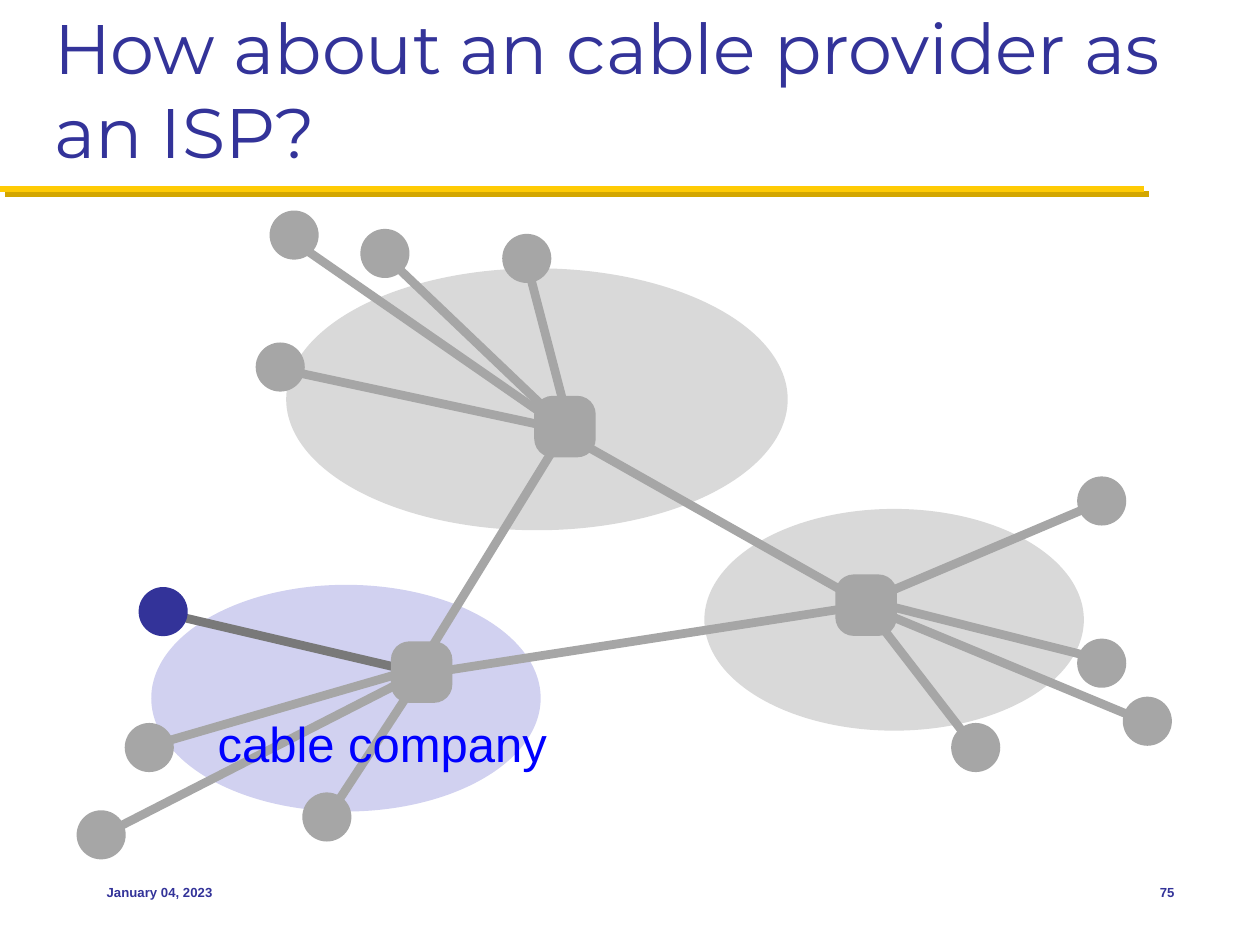
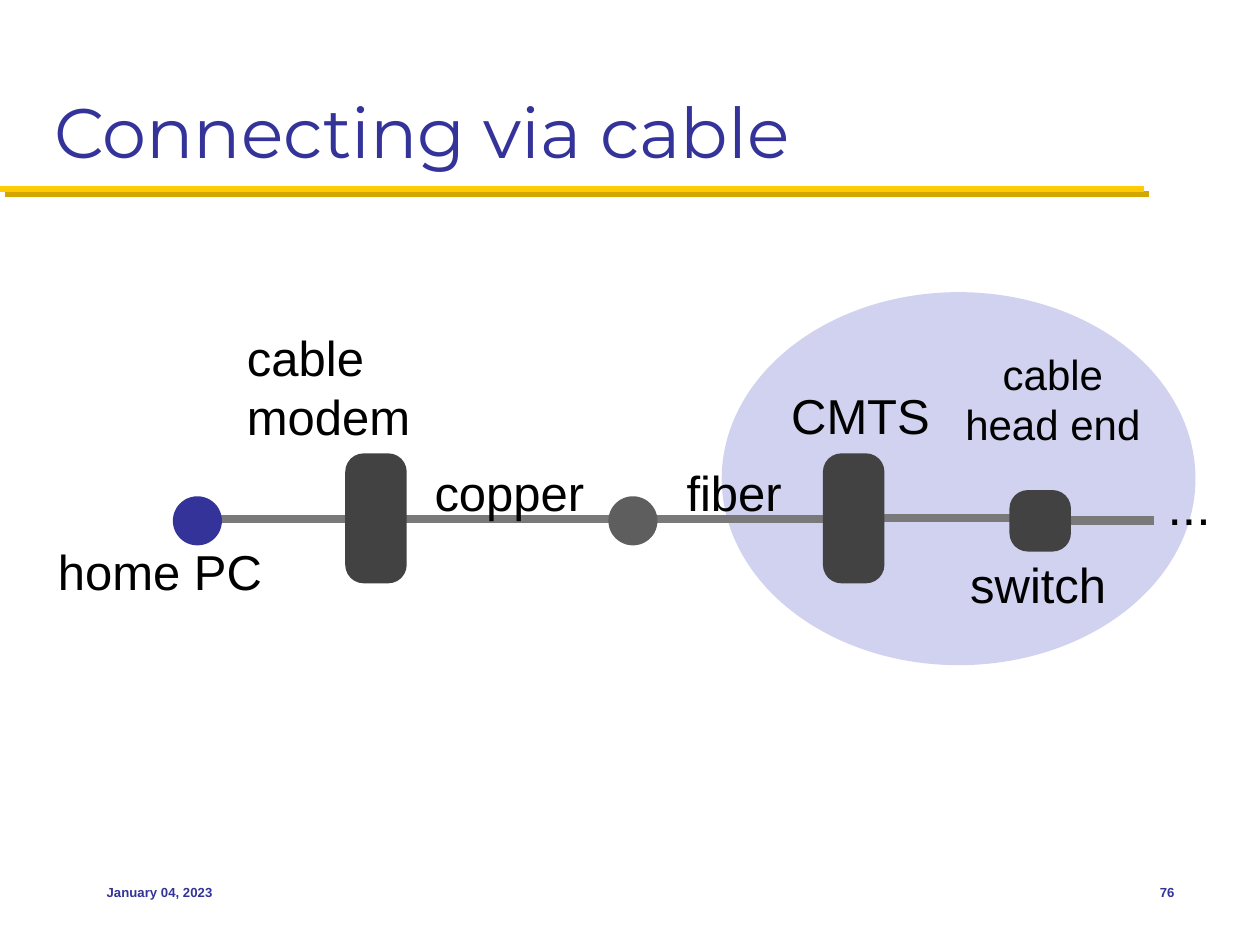
from dataclasses import dataclass

from lxml import etree
from pptx import Presentation
from pptx import util as u
from pptx.dml.color import RGBColor
from pptx.enum import shapes, text
from pptx.oxml.ns import qn


@dataclass(frozen=True)
class Theme:
    navy: str = "333399"
    gold: str = "FFCB05"
    dark_gold: str = "D3A600"
    gray: str = "A6A6A6"
    link: str = "797979"
    box: str = "424242"
    joint: str = "5E5E5E"
    cloud: str = "D9D9D9"
    lilac: str = "D1D1F0"
    blue: str = "0000FF"
    black: str = "000000"
    title_font: str = "Montserrat"
    body_font: str = "Arial"
    title_size: float = 40
    label_size: float = 28
    small_label_size: float = 24
    dots_size: float = 29.5
    footer_size: float = 7.5
    link_width: float = 5
    rule_width: float = 3.5


THEME = Theme()
DATE = "January 04, 2023"
HOST = 0.99
SWITCH = 1.24
TALL = 2.62

NETWORKS = [
    {"cloud": (14.2, 10.26, 7.65, 4.47), "tint": THEME.cloud, "switch": (17.46, 12.2),
     "hosts": [
         {"at": (22.21, 10.1), "spoke": (22.17, 10.13, 17.35, 12.17)},
         {"at": (19.67, 15.07), "spoke": (19.63, 15.04, 17.53, 12.32)},
         {"at": (22.21, 13.37), "spoke": (22.15, 13.28, 17.53, 12.12)},
         {"at": (23.13, 14.54), "spoke": (23.16, 14.58, 17.4, 12.19)},
     ]},
    {"cloud": (5.77, 5.41, 10.11, 5.28), "tint": THEME.cloud, "switch": (11.39, 8.6),
     "hosts": [
         {"at": (5.65, 7.4), "spoke": (5.66, 7.44, 11.25, 8.64)},
         {"at": (5.93, 4.74), "spoke": (5.94, 4.88, 11.18, 8.51)},
         {"at": (7.76, 5.11), "spoke": (7.77, 5.16, 11.25, 8.48)},
         {"at": (10.62, 5.21), "spoke": (10.64, 5.38, 11.51, 8.71)},
     ]},
    {"cloud": (3.05, 11.79, 7.85, 4.57), "tint": THEME.lilac, "switch": (8.5, 13.55),
     "hosts": [
         {"at": (3.01, 15.07), "spoke": (2.95, 15.06, 8.36, 13.49)},
         {"at": (2.04, 16.83), "spoke": (1.96, 16.89, 8.31, 13.64)},
         {"at": (6.59, 16.47), "spoke": (6.68, 16.36, 8.46, 13.64)},
         {"at": (3.29, 12.33), "spoke": (3.23, 12.34, 8.36, 13.54),
          "color": THEME.navy, "link": THEME.link},
     ]},
]
TRUNKS = [
    (11.23, 8.66, 17.48, 12.19),
    (11.4, 8.66, 8.48, 13.41),
    (17.53, 12.19, 8.51, 13.59),
]

HEAD_END_CLOUD = (14.55, 5.89, 9.55, 7.52)
CABLE_RUNS = [
    (4.01, 7.54, 10.46),
    (8, 12.7, 10.46),
    (12.75, 17.45, 10.46),
    (17.63, 21.16, 10.44),
    (21.36, 23.27, 10.49),
]
ROUND_NODES = [((3.98, 10.5), THEME.navy), ((12.76, 10.5), THEME.joint)]
BOX_NODES = [((7.58, 10.45), TALL), ((17.21, 10.45), TALL), ((20.97, 10.5), SWITCH)]
CABLE_LABELS = [
    ("home PC", (1.07, 10.8, 5.82, 1.4), {}),
    ("cable modem", (4.88, 6.5, 5.61, 2.59), {}),
    ("copper", (8.66, 9.22, 3.25, 1.4), {"wrap": False}),
    ("fiber", (13.74, 9.22, 2.13, 1.4), {"wrap": False}),
    ("CMTS", (15.85, 7.67, 3.02, 1.4), {"wrap": False}),
    ("cable head end", (19.18, 6.91, 4.09, 2.26),
     {"size": THEME.small_label_size, "align": text.PP_ALIGN.CENTER}),
    ("switch", (19.46, 11.07, 2.97, 1.4), {"wrap": False}),
    ("...", (23.44, 9.45, 1.09, 1.47), {"size": THEME.dots_size, "wrap": False}),
]


def cm(*lengths):
    return [u.Cm(length) for length in lengths]


def write(frame, words, *, size=THEME.label_size, font=THEME.body_font, color=THEME.black,
          bold=False, align=text.PP_ALIGN.LEFT, anchor=text.MSO_ANCHOR.MIDDLE,
          wrap=True, inset=(0.1, 0.1)):
    frame.auto_size = text.MSO_AUTO_SIZE.NONE
    frame.word_wrap = wrap
    frame.vertical_anchor = anchor
    frame.margin_left = frame.margin_right = u.Cm(inset[0])
    frame.margin_top = frame.margin_bottom = u.Cm(inset[1])
    paragraph = frame.paragraphs[0]
    paragraph.alignment = align
    run = paragraph.add_run()
    run.text = words
    run.font.size = u.Pt(size)
    run.font.name = font
    run.font.bold = bold
    run.font.color.rgb = RGBColor.from_string(color)


def add_label(slide, words, place, **style):
    write(slide.shapes.add_textbox(*cm(*place)).text_frame, words, **style)


def add_line(slide, ends, color, width=THEME.link_width):
    line = slide.shapes.add_connector(shapes.MSO_CONNECTOR.STRAIGHT, *cm(*ends))
    line.line.color.rgb = RGBColor.from_string(color)
    line.line.width = u.Pt(width)
    properties = line._element.find(qn("p:spPr"))
    return etree.SubElement(properties, qn("a:effectLst"))


def add_solid(slide, kind, place, color):
    solid = slide.shapes.add_shape(kind, *cm(*place))
    solid.shadow.inherit = False
    solid.fill.solid()
    solid.fill.fore_color.rgb = RGBColor.from_string(color)
    solid.line.fill.background()
    return solid


def centered(middle, width, height):
    return middle[0] - width / 2, middle[1] - height / 2, width, height


def add_cloud(slide, place, color):
    add_solid(slide, shapes.MSO_SHAPE.OVAL, place, color)


def add_host(slide, middle, color):
    add_solid(slide, shapes.MSO_SHAPE.OVAL, centered(middle, HOST, HOST), color)


def add_box(slide, middle, color, height=SWITCH):
    box = add_solid(slide, shapes.MSO_SHAPE.ROUNDED_RECTANGLE,
                    centered(middle, SWITCH, height), color)
    box.adjustments[0] = 0.3


def add_page(deck, heading, number):
    slide = deck.slides.add_slide(deck.slide_layouts[5])
    effects = add_line(slide, (0, 3.81, 23.06, 3.81), THEME.gold, THEME.rule_width)
    shadow = etree.SubElement(effects, qn("a:outerShdw"), blurRad="0",
                              dist=str(u.Pt(4.2)), dir="2700000", algn="ctr",
                              rotWithShape="0")
    etree.SubElement(shadow, qn("a:srgbClr"), val=THEME.dark_gold)

    title = slide.shapes.title
    title.left, title.top, title.width, title.height = cm(0.84, 0.43, 23.7, 3.18)
    write(title.text_frame, heading, size=THEME.title_size, font=THEME.title_font,
          color=THEME.navy, anchor=text.MSO_ANCHOR.BOTTOM, inset=(0.25, 0.13))

    footer = {"size": THEME.footer_size, "color": THEME.navy, "bold": True,
              "inset": (0.25, 0.13)}
    add_label(slide, DATE, (1.9, 17.35, 5.28, 1.27), **footer)
    add_label(slide, str(number), (22.23, 17.35, 1.7, 1.27),
              align=text.PP_ALIGN.RIGHT, **footer)
    return slide


def build_provider(deck):
    slide = add_page(deck, "How about an cable provider as an ISP?", 75)
    for network in NETWORKS:
        add_cloud(slide, network["cloud"], network["tint"])
    for network in NETWORKS:
        for host in network["hosts"]:
            add_line(slide, host["spoke"], host.get("link", THEME.gray))
            add_host(slide, host["at"], host.get("color", THEME.gray))
    for trunk in TRUNKS:
        add_line(slide, trunk, THEME.gray)
    for network in NETWORKS:
        add_box(slide, network["switch"], THEME.gray)
    add_label(slide, "cable company", (3.07, 14.27, 9.27, 1.4),
              color=THEME.blue, align=text.PP_ALIGN.CENTER)


def build_connection(deck):
    slide = add_page(deck, "Connecting via cable", 76)
    add_cloud(slide, HEAD_END_CLOUD, THEME.lilac)
    for start, end, level in CABLE_RUNS:
        add_line(slide, (start, level, end, level), THEME.link)
    for middle, color in ROUND_NODES:
        add_host(slide, middle, color)
    for middle, height in BOX_NODES:
        add_box(slide, middle, THEME.box, height)
    for words, place, style in CABLE_LABELS:
        add_label(slide, words, place, **style)


def main():
    deck = Presentation()
    deck.slide_width, deck.slide_height = cm(25.4, 19.05)
    build_provider(deck)
    build_connection(deck)
    deck.save("out.pptx")


if __name__ == "__main__":
    main()
